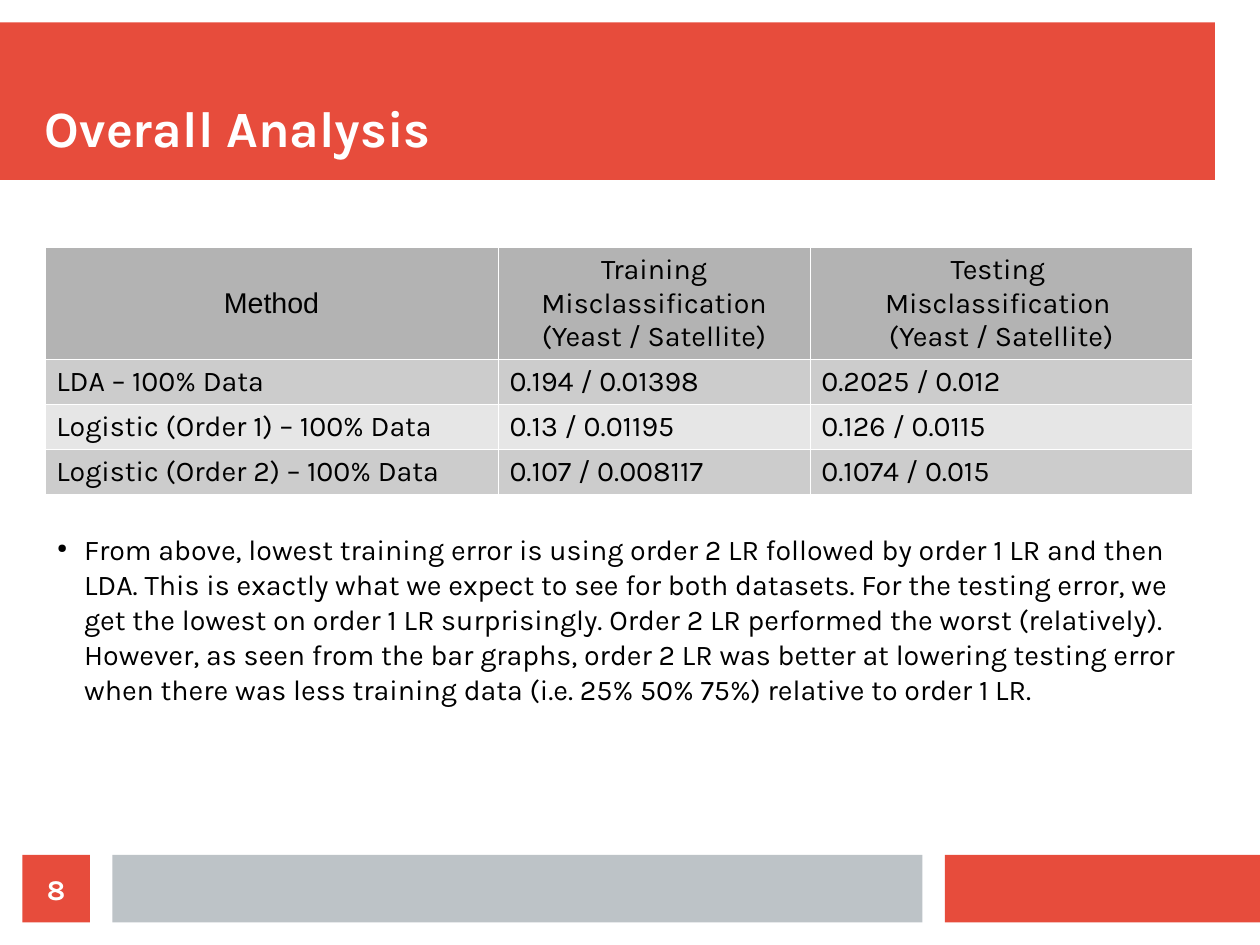
import pptx
import pptx.util
import pptx.dml.color
import pptx.enum.shapes
import pptx.enum.text
import pptx.oxml
import pptx.oxml.ns
from pptx.util import Cm

COLORS = {
    "red": "E74C3C",
    "silver": "BDC3C7",
    "header": "B3B3B3",
    "odd_row": "CCCCCC",
    "even_row": "E6E6E6",
    "white": "FFFFFF",
    "black": "000000",
}
ANCHOR = pptx.enum.text.MSO_ANCHOR
ALIGN = pptx.enum.text.PP_ALIGN
NAMESPACE = pptx.oxml.ns.nsdecls("a")


def paint(fill, color):
    fill.solid()
    fill.fore_color.rgb = pptx.dml.color.RGBColor.from_string(COLORS[color])


def style(paragraph, color, alignment=ALIGN.LEFT, size=18, name="Karla", bold=False):
    paragraph.alignment = alignment
    paragraph.font.size = pptx.util.Pt(size)
    paragraph.font.name = name
    paragraph.font.bold = bold
    paragraph.font.color.rgb = pptx.dml.color.RGBColor.from_string(COLORS[color])


presentation = pptx.Presentation()
presentation.slide_width = Cm(28)
presentation.slide_height = Cm(21)
slide = presentation.slides.add_slide(presentation.slide_layouts[5])

bars = [
    (0, 0.5, 27, 3.5, "red"),
    (21, 19, 7, 1.5, "red"),
    (2.5, 19, 18, 1.5, "silver"),
    (0.5, 19, 1.5, 1.5, "red"),
]
for left, top, width, height, color in bars:
    bar = slide.shapes.add_shape(
        pptx.enum.shapes.MSO_SHAPE.RECTANGLE, Cm(left), Cm(top), Cm(width), Cm(height))
    bar.shadow.inherit = False
    paint(bar.fill, color)
    bar.line.fill.background()

title = slide.shapes.title
slide.shapes.element.append(title.element)
title.left, title.top, title.width, title.height = Cm(1), Cm(1), Cm(26), Cm(2.5)
title.text_frame.text = "Overall Analysis"
title.text_frame.vertical_anchor = ANCHOR.BOTTOM
style(title.text_frame.paragraphs[0], "white", size=32, bold=True)

page_number = bar.text_frame
page_number.text = "8"
page_number.vertical_anchor = ANCHOR.MIDDLE
style(page_number.paragraphs[0], "white", ALIGN.CENTER, bold=True)

for frame in (title.text_frame, page_number):
    frame.margin_left = frame.margin_top = frame.margin_right = frame.margin_bottom = 0

rows = [
    ("Method", "Training Misclassification\n(Yeast / Satellite)",
     "Testing \nMisclassification \n(Yeast / Satellite)"),
    ("LDA – 100% Data", "0.194 / 0.01398", "0.2025 / 0.012"),
    ("Logistic (Order 1) – 100% Data", "0.13 / 0.01195", "0.126 / 0.0115"),
    ("Logistic (Order 2) – 100% Data", "0.107 / 0.008117", "0.1074 / 0.015"),
]
table = slide.shapes.add_table(4, 3, Cm(1), Cm(5.5), Cm(25.5), Cm(5.48)).table
for column, width in zip(table.columns, (10.07, 6.93, 8.5)):
    column.width = Cm(width)
for row, height in zip(table.rows, (2.48, 1, 1, 1)):
    row.height = Cm(height)

for row_index, texts in enumerate(rows):
    is_header = row_index == 0
    row_color = "header" if is_header else "odd_row" if row_index % 2 else "even_row"
    for column_index, text in enumerate(texts):
        cell = table.cell(row_index, column_index)
        cell.text = text
        cell.vertical_anchor = ANCHOR.MIDDLE if is_header else ANCHOR.TOP
        paint(cell.fill, row_color)
        for paragraph in cell.text_frame.paragraphs:
            style(paragraph, "black", ALIGN.CENTER if is_header else ALIGN.LEFT,
                  name="Arial" if text == "Method" else "Karla")
        properties = cell._tc.get_or_add_tcPr()
        for position, side in enumerate(("lnL", "lnR", "lnT", "lnB")):
            properties.insert(position, pptx.oxml.parse_xml(
                f'<a:{side} {NAMESPACE} w="720"><a:solidFill>'
                f'<a:srgbClr val="{COLORS["white"]}"/></a:solidFill></a:{side}>'))

analysis = slide.shapes.add_textbox(Cm(1.02), Cm(11.68), Cm(25.4), Cm(5.44)).text_frame
analysis.word_wrap = True
analysis.text = (
    "From above, lowest training error is using order 2 LR followed by order 1 LR and then LDA. "
    "This is exactly what we expect to see for both datasets. For the testing error, we get the "
    "lowest on order 1 LR surprisingly. Order 2 LR performed the worst (relatively). However, as "
    "seen from the bar graphs, order 2 LR was better at lowering testing error when there was less "
    "training data (i.e. 25% 50% 75%) relative to order 1 LR.")
paragraph = analysis.paragraphs[0]
style(paragraph, "black")
paragraph.line_spacing = 1.02
properties = paragraph._p.get_or_add_pPr()
properties.set("marL", str(Cm(0.6)))
properties.set("indent", str(Cm(-0.6)))
bullet = [
    f'<a:buClr {NAMESPACE}><a:srgbClr val="{COLORS["black"]}"/></a:buClr>',
    f'<a:buSzPct {NAMESPACE} val="45000"/>',
    f'<a:buChar {NAMESPACE} char="●"/>',
]
for position, xml in enumerate(bullet, start=1):
    properties.insert(position, pptx.oxml.parse_xml(xml))

presentation.save("out.pptx")
